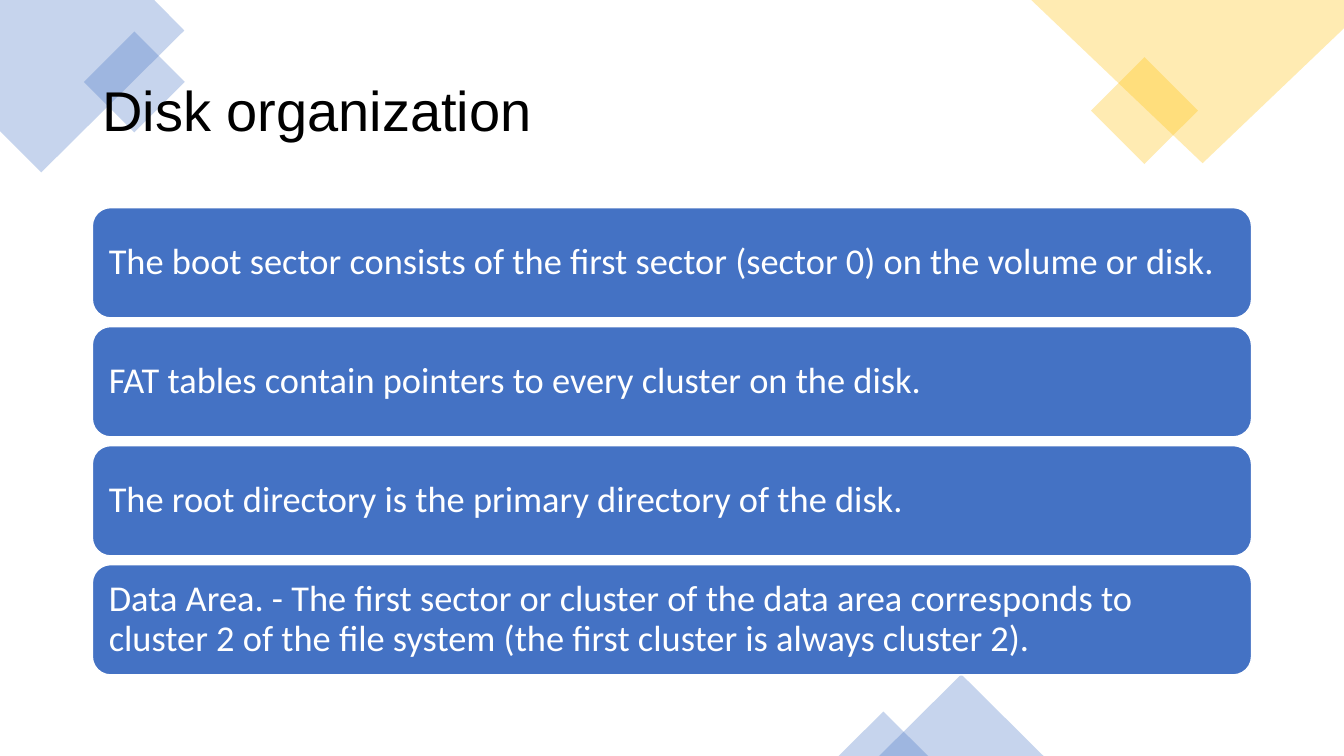
from dataclasses import dataclass

from pptx import Presentation
from pptx.enum import shapes, text
from pptx.oxml import ns
from pptx.util import Pt
from pptx.dml.color import RGBColor

COLOURS = {"blue": "4472C4", "gold": "FFC000", "white": "FFFFFF", "black": "000000"}
BAR_LEFT, BAR_TOP, BAR_WIDTH, BAR_HEIGHT, BAR_PITCH = 66, 148.3, 828, 78.8, 85
BAR_INSET = 7.92
OPACITY = 30


@dataclass
class Ornament:
    """A translucent preset shape, in points."""
    kind: shapes.MSO_SHAPE
    left: float
    top: float
    width: float
    height: float
    colour: str
    rotation: float = 0


@dataclass
class Patch:
    """A translucent polygon in a slide corner, in points."""
    points: list[tuple[float, float]]
    colour: str


SQUARE = shapes.MSO_SHAPE.RECTANGLE
TRIANGLE = shapes.MSO_SHAPE.ISOSCELES_TRIANGLE
DECORATIONS = [
    Patch([(110.2, 0), (0, 0), (0, 93.6), (29.5, 123.1), (131.6, 21.8)], "blue"),
    Ornament(SQUARE, 70.5, 33, 51, 51, "blue", 315),
    Ornament(SQUARE, 790.5, 52, 54, 54, "gold", 315),
    Patch([(960, 0), (736.6, 0), (859, 116.6), (960, 20.2)], "gold"),
    Ornament(TRIANGLE, 628, 481.7, 117.4, 58.3, "blue"),
    Ornament(TRIANGLE, 599, 508.3, 64, 31.7, "blue"),
]
STATEMENTS = [
    "The boot sector consists of the first sector (sector 0) on the volume or disk.",
    "FAT tables contain pointers to every cluster on the disk.",
    "The root directory is the primary directory of the disk.",
    "Data Area. - The first sector or cluster of the data area corresponds to "
    "cluster 2 of the file system (the first cluster is always cluster 2).",
]


def paint(shape, colour: str) -> None:
    """Give a shape a plain fill and no shadow."""
    shape.shadow.inherit = False
    shape.fill.solid()
    shape.fill.fore_color.rgb = RGBColor.from_string(COLOURS[colour])


def write(shape, words: str, font: str, size: float, colour: str) -> None:
    """Write one left-aligned, vertically centred paragraph."""
    frame = shape.text_frame
    frame.text = words
    frame.word_wrap = True
    frame.auto_size = text.MSO_AUTO_SIZE.NONE
    frame.vertical_anchor = text.MSO_ANCHOR.MIDDLE
    para = frame.paragraphs[0]
    para.alignment = text.PP_ALIGN.LEFT
    para.line_spacing = 0.9
    para.font.name = font
    para.font.size = Pt(size)
    para.font.color.rgb = RGBColor.from_string(COLOURS[colour])


def draw_decoration(page, item: Ornament | Patch) -> None:
    """Draw one translucent decoration."""
    if isinstance(item, Patch):
        start, *others = [(Pt(x), Pt(y)) for x, y in item.points]
        builder = page.shapes.build_freeform(*start)
        builder.add_line_segments(others, close=True)
        shape = builder.convert_to_shape()
    else:
        shape = page.shapes.add_shape(
            item.kind, Pt(item.left), Pt(item.top), Pt(item.width), Pt(item.height))
        shape.rotation = item.rotation
    paint(shape, item.colour)
    shape.line.fill.background()
    tint = shape.element.find(".//" + ns.qn("a:srgbClr"))
    tint.makeelement(ns.qn("a:alpha"), {})
    alpha = tint.makeelement(ns.qn("a:alpha"), {"val": str(OPACITY * 1000)})
    tint.append(alpha)


def draw_title(page) -> None:
    """Place the title in front of the decorations."""
    title = page.shapes.title
    title.left, title.top, title.width, title.height = Pt(66), Pt(28.8), Pt(828), Pt(104.4)
    write(title, "Disk organization", "Arial", 40, "black")
    title.element.getparent().append(title.element)


def draw_bar(page, index: int, words: str) -> None:
    """Draw one rounded bar with its statement."""
    bar = page.shapes.add_shape(
        shapes.MSO_SHAPE.ROUNDED_RECTANGLE, Pt(BAR_LEFT), Pt(BAR_TOP + index * BAR_PITCH),
        Pt(BAR_WIDTH), Pt(BAR_HEIGHT))
    paint(bar, "blue")
    bar.line.color.rgb = RGBColor.from_string(COLOURS["white"])
    bar.line.width = Pt(1)
    frame = bar.text_frame
    frame.margin_left = frame.margin_right = Pt(BAR_INSET)
    frame.margin_top = frame.margin_bottom = Pt(BAR_INSET)
    write(bar, words, "Calibri", 26, "white")


def main() -> None:
    """Build the slide and save the deck."""
    deck = Presentation()
    deck.slide_width, deck.slide_height = Pt(960), Pt(540)
    page = deck.slides.add_slide(deck.slide_layouts.get_by_name("Title Only"))
    for item in DECORATIONS:
        draw_decoration(page, item)
    draw_title(page)
    for index, words in enumerate(STATEMENTS):
        draw_bar(page, index, words)
    deck.save("out.pptx")


if __name__ == "__main__":
    main()
